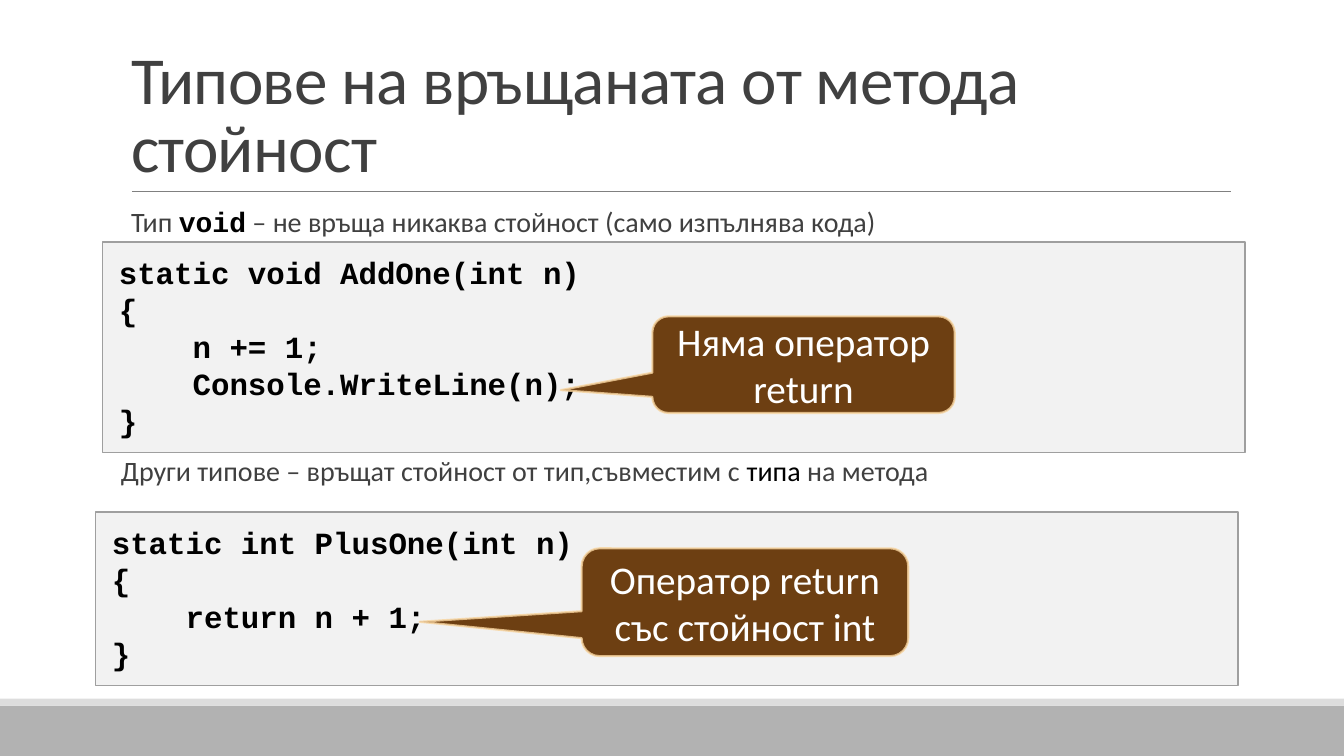
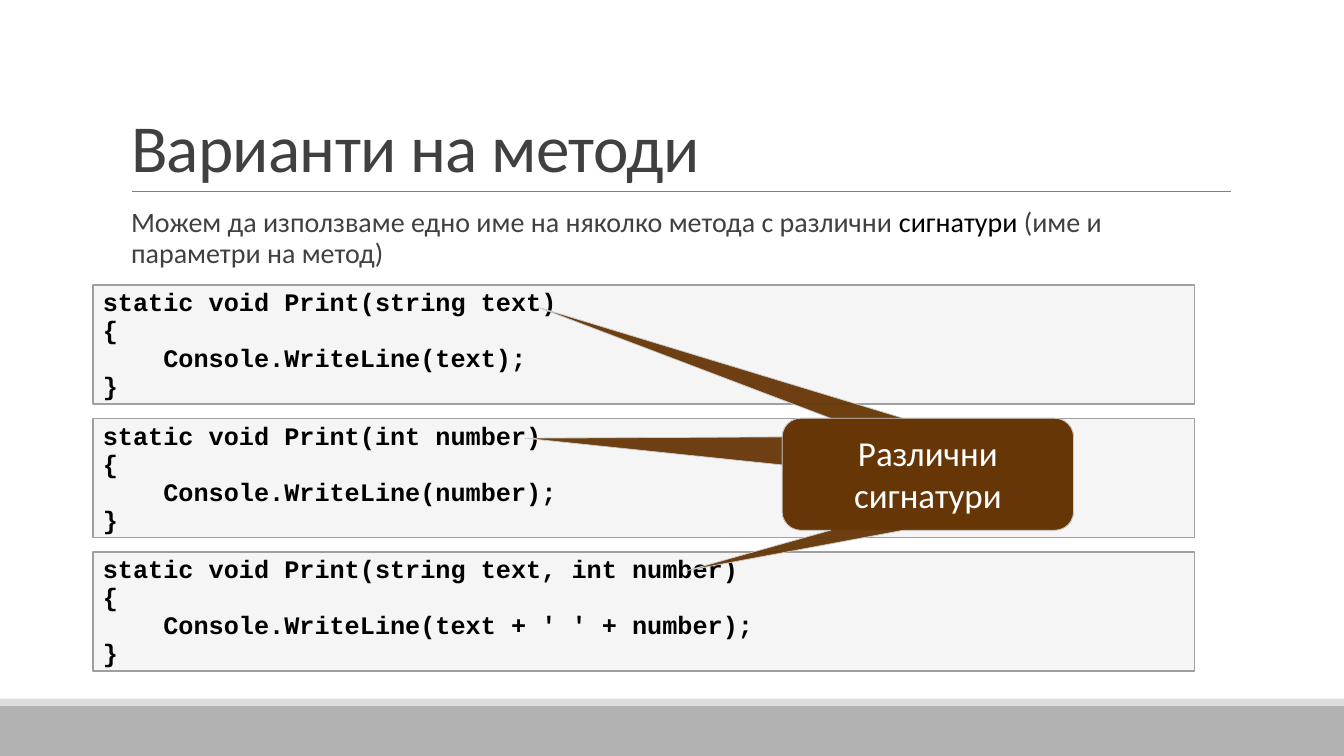
from lxml import etree
from pptx import Presentation
from pptx import util as u
from pptx.dml.color import RGBColor
from pptx.enum import shapes as kinds, text as texts
from pptx.oxml.ns import qn

PAGE_WIDTH, PAGE_HEIGHT = 960, 540
SANS, MONO = "Calibri", "Courier New"
INK, BLACK, WHITE = "404040", "000000", "FFFFFF"
BAND, STRIPE, RULE = "B2B2B2", "DDDDDD", "808080"
CODE_FILL, CODE_EDGE = "BFBFBF", "9F9F9F"
CALLOUT_FILL, GOLD_EDGE, GREY_EDGE = "663606", "F8D49E", "CCCCCC"
TITLE_BOX = (86.4, 22.3, 792, 114.5)
BODY_BOX = (86.4, 145.4, 792, 316.8)


def color(code):
    return RGBColor.from_string(code)


def points(*lengths):
    return [u.Pt(length) for length in lengths]


def set_font(span, size, name=SANS, ink=INK, bold=False):
    span.font.size, span.font.name, span.font.bold = u.Pt(size), name, bold
    span.font.color.rgb = color(ink)


def set_frame(frame, anchor, margins=(7.2, 3.6)):
    frame.word_wrap = True
    frame.auto_size = texts.MSO_AUTO_SIZE.NONE
    frame.vertical_anchor = anchor
    frame.margin_left = frame.margin_right = u.Pt(margins[0])
    frame.margin_top = frame.margin_bottom = u.Pt(margins[1])


def fade(parent, percent):
    """Make the solid colour inside a fill or line parent translucent."""
    tone = parent.find(qn("a:solidFill")).find(qn("a:srgbClr"))
    etree.SubElement(tone, qn("a:alpha")).set("val", str(percent * 1000))


def add_panel(page, kind, box, fill, opacity=100, edge=None, edge_width=1, edge_opacity=100):
    panel = page.shapes.add_shape(kind, *points(*box))
    panel.shadow.inherit = False
    panel.fill.solid()
    panel.fill.fore_color.rgb = color(fill)
    if opacity < 100:
        fade(panel.element.spPr, opacity)
    if edge is None:
        panel.line.fill.background()
    else:
        panel.line.color.rgb = color(edge)
        panel.line.width = u.Pt(edge_width)
        if edge_opacity < 100:
            fade(panel.element.spPr.find(qn("a:ln")), edge_opacity)
    return panel


def place(holder, box):
    holder.left, holder.top, holder.width, holder.height = points(*box)


# Shared page: bottom bands, rule and title
def add_page(deck, title):
    page = deck.slides.add_slide(deck.slide_layouts[1])
    rectangle = kinds.MSO_SHAPE.RECTANGLE
    add_panel(page, rectangle, (0, 504, PAGE_WIDTH, 36), BAND)
    add_panel(page, rectangle, (0, 499, PAGE_WIDTH, 5), STRIPE)
    rule = page.shapes.add_connector(
        kinds.MSO_CONNECTOR.STRAIGHT, *points(94.3, 136.6, 879, 136.6))
    rule.line.color.rgb, rule.line.width = color(RULE), u.Pt(0.5)
    etree.SubElement(rule.element.spPr, qn("a:effectLst"))

    holder = page.shapes.title
    place(holder, TITLE_BOX)
    set_frame(holder.text_frame, texts.MSO_ANCHOR.BOTTOM)
    holder.text_frame.text = title
    para = holder.text_frame.paragraphs[0]
    para.alignment, para.line_spacing = texts.PP_ALIGN.LEFT, 0.85
    for span in para.runs:
        set_font(span, 48)
        span.font._element.set("spc", "-50")
    return page


# Body list: each paragraph is (has bullet, space before, spans)
def fill_body(page, box, paragraphs):
    holder = page.placeholders[1]
    place(holder, box)
    frame = holder.text_frame
    set_frame(frame, texts.MSO_ANCHOR.TOP, (0, 3.6))
    for number, (bulleted, gap, spans) in enumerate(paragraphs):
        para = frame.add_paragraph() if number else frame.paragraphs[0]
        props = para._p.get_or_add_pPr()
        props.set("marL", str(u.Pt(7.2)))
        props.set("indent", str(u.Pt(-7.2)))
        if bulleted:
            tint = etree.SubElement(props, qn("a:buClr"))
            etree.SubElement(tint, qn("a:srgbClr")).set("val", STRIPE)
            etree.SubElement(props, qn("a:buChar")).set("char", " ")
        else:
            etree.SubElement(props, qn("a:buNone"))
        para.line_spacing = 0.9
        para.space_before, para.space_after = points(gap, 2)
        for words, style in spans:
            span = para.add_run()
            span.text = words
            set_font(span, 20, **style)


# Code listing in a pale box
def add_code(page, box, code, size, opacity, anchor, margins=(7.2, 3.6), spacing=None):
    panel = add_panel(page, kinds.MSO_SHAPE.RECTANGLE, box, CODE_FILL, opacity, CODE_EDGE)
    set_frame(panel.text_frame, anchor, margins)
    panel.text_frame.text = code
    for para in panel.text_frame.paragraphs:
        para.alignment = texts.PP_ALIGN.LEFT
        if spacing:
            para.line_spacing = u.Pt(spacing)
        for span in para.runs:
            set_font(span, size, MONO, BLACK, True)


# Callout whose pointer ends at the given tip
def add_callout(page, box, tip, **edge):
    left, top, width, height = box
    callout = add_panel(page, kinds.MSO_SHAPE.ROUNDED_RECTANGULAR_CALLOUT, box,
                        CALLOUT_FILL, 95, **edge)
    callout.adjustments[0] = (tip[0] - left) / width - 0.5
    callout.adjustments[1] = (tip[1] - top) / height - 0.5
    return callout


def label_callout(callout, words, size, anchor, margins=(7.2, 3.6), spacing=None):
    set_frame(callout.text_frame, anchor, margins)
    callout.text_frame.text = words
    para = callout.text_frame.paragraphs[0]
    para.alignment = texts.PP_ALIGN.CENTER
    if spacing:
        para.line_spacing = u.Pt(spacing)
    for span in para.runs:
        set_font(span, size, ink=WHITE)


def add_return_types(deck):
    page = add_page(deck, "Типове на връщаната от метода стойност")
    fill_body(page, BODY_BOX, [
        (True, 0, [("Тип ", {}),
                   ("void", {"name": MONO, "ink": BLACK, "bold": True}),
                   (" – не връща никаква стойност (само изпълнява кода)", {})]),
        (False, 154, [("Други типове – връщат стойност от тип,съвместим с ", {}),
                      ("типа ", {"ink": BLACK}),
                      ("на метода", {})]),
    ])
    listings = [
        ((73.4, 172.8, 816, 150.5),
         "static void AddOne(int n)\n{\n    n += 1;\n    Console.WriteLine(n);\n}"),
        ((68.4, 365.8, 816, 123.8),
         "static int PlusOne(int n)\n{\n    return n + 1;\n}"),
    ]
    for box, code in listings:
        add_code(page, box, code, 22, 20, texts.MSO_ANCHOR.TOP, (11.5, 8.6))
    callouts = [
        ((466, 226, 216, 69), (400.6, 278.7), "Няма оператор return"),
        ((415.5, 391.7, 233.3, 77), (299.7, 444.2), "Оператор return със стойност int"),
    ]
    for box, tip, words in callouts:
        callout = add_callout(page, box, tip, edge=GOLD_EDGE, edge_width=1.5, edge_opacity=80)
        label_callout(callout, words, 28, texts.MSO_ANCHOR.MIDDLE)


def add_overloads(deck):
    page = add_page(deck, "Варианти на методи")
    fill_body(page, BODY_BOX, [
        (True, 0, [("Можем да използваме едно име на няколко метода с различни ", {}),
                   ("сигнатури", {"ink": BLACK}),
                   (" (име и параметри на метод)", {})]),
    ])
    methods = [
        ("string text", "text"),
        ("int number", "number"),
        ("string text, int number", "text + ' ' + number"),
    ]
    for row, (parameters, printed) in enumerate(methods):
        code = f"static void Print({parameters})\n{{\n    Console.WriteLine({printed});\n}}"
        add_code(page, (66.4, 203.6 + row * 95.4, 787, 85), code, 18, 15,
                 texts.MSO_ANCHOR.MIDDLE, spacing=20)
    # One pointer for each signature; the front callout carries the label
    for tip in [(375, 313), (384.5, 219.5), (491, 407.5)]:
        callout = add_callout(page, (558.7, 298.8, 208.1, 79.9), tip,
                              edge=GREY_EDGE, edge_width=0.5)
    label_callout(callout, "Различни сигнатури", 25, texts.MSO_ANCHOR.TOP, (7.2, 5.8), 30)


def main():
    deck = Presentation()
    deck.slide_width, deck.slide_height = points(PAGE_WIDTH, PAGE_HEIGHT)
    add_return_types(deck)
    add_overloads(deck)
    deck.save("out.pptx")


if __name__ == "__main__":
    main()
